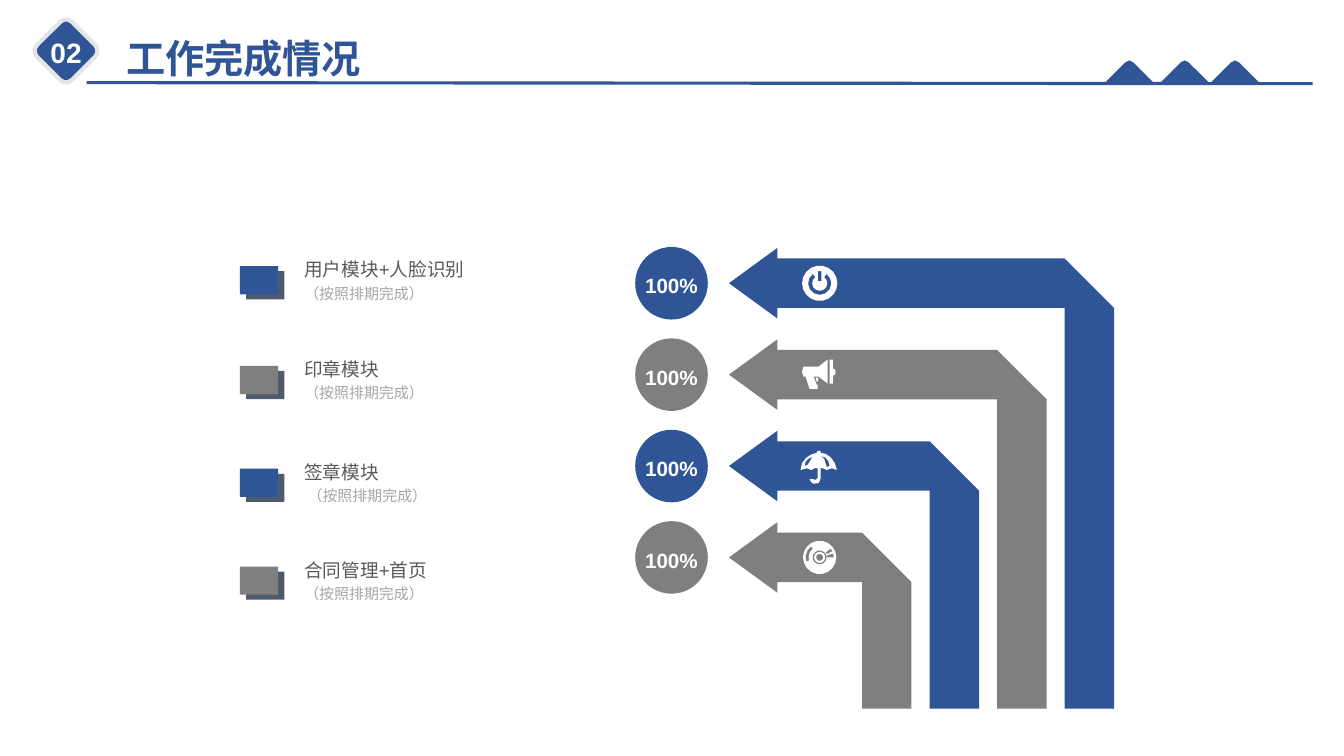
from math import ceil, cos, radians, sin

from lxml.etree import SubElement
from pptx import Presentation
from pptx.dml.color import RGBColor
from pptx.enum.shapes import MSO_CONNECTOR, MSO_SHAPE
from pptx.enum.text import MSO_ANCHOR, PP_ALIGN
from pptx.oxml.ns import qn
from pptx.util import Inches, Pt

COLORS = {"blue": "2F5597", "gray": "7F7F7F", "slate": "4E5B6F", "border": "E5E5E5",
          "white": "FFFFFF", "heading": "595959", "note": "A6A6A6"}
FONT = "Arial"


def arc(radius, start=0, end=340, step=20):
    """Points along an arc, clockwise in degrees from three o'clock."""
    count = ceil(abs(end - start) / step)
    angles = [radians(start + (end - start) * index / count) for index in range(count + 1)]
    return [(radius * cos(angle), radius * sin(angle)) for angle in angles]


def band(outer, inner, start, end):
    """Outline of a ring segment."""
    return arc(outer, start, end, 30) + arc(inner, end, start, 30)


# Content
TITLE = "工作完成情况"
NUMBER = "02"
# heading, note, percentage, colour, swatch top
MODULES = [
    ("用户模块+人脸识别", "（按照排期完成）", "100%", "blue", 2.64),
    ("印章模块", "（按照排期完成）", "100%", "gray", 3.63),
    ("签章模块", " （按照排期完成）", "100%", "blue", 4.65),
    ("合同管理+首页", "（按照排期完成）", "100%", "gray", 5.62),
]

# Icon contours, in hundredths of an inch from the icon centre
POWER = [
    arc(17.5),
    [(-1.7, -12), (1.7, -12), (1.7, -2), (-1.7, -2)],
    band(11.5, 7.5, -54, 234),
]
MEGAPHONE = [
    [(-16, -8), (-1, -8), (8, -15), (8, 9), (-1, 2), (-6, 2), (-3, 10),
     (-2, 10), (-2, 14), (-10, 14), (-14, 2), (-16, 2), (-17.5, -3)],
    [(13, -6), (15.5, -5), (15.5, 0), (13, 1), (13, 9), (10, 9), (10, -15), (13, -15)],
    [(-1, 3), (-4, 3), (-3, 7), (-2, 7)],
]
UMBRELLA = [
    [(-6, 13), (-5, 14), (-3, 13), (-2, 12), (-2, 2), (-5, 2.2), (-8, 4),
     (-13, 2.3), (-19, 4), (-17.5, -3), (-13, -8.5), (-8, -11.5), (-3, -13),
     (-2, -15), (1, -15), (1, -13), (6, -12), (11, -8.5), (15, -3), (17, 4),
     (12, 2.3), (7, 4), (4, 2.5), (1, 2), (1, 12), (0, 15), (-1, 17),
     (-6, 17.5), (-8.5, 16), (-10, 13)],
    [(7, 1), (10, 0), (8.5, -5), (5.5, -8.5), (1, -10), (4.5, -7)],
    [(-15, 0), (-12, -1), (-7, -9), (-11.5, -7), (-14, -4)],
]
DISC = [
    arc(16.5), arc(7, step=30), arc(5.5, step=30), arc(3.5, step=40),
    band(14, 11, 163, 232),
    band(14, 7.5, -39, -25),
    band(14, 7.5, -16, 0),
]
ICONS = [POWER, MEGAPHONE, UMBRELLA, DISC]

# Layout, in inches
FIRST_ROW, ROW_PITCH = 2.81, 2.72 / 3
ARROW_RIGHT, ARROW_STEP, ARROW_BOTTOM = 11.05, 0.67, 7.03
ARROW_TIP, HEAD_BASE, HEAD_HALF = 7.23, 7.71, 0.35
BAR = 0.49
ICON_X = 8.13
CIRCLE_LEFT, CIRCLE = 6.3, 0.72
SWATCH_LEFT, SWATCH_SIZE = 2.38, (0.38, 0.28)
BASELINE = 0.83
PEAK_CENTERS = [11.2, 11.75, 12.25]
PEAK = [(-0.25, 0), (-0.04, -0.21), (0, -0.23), (0.04, -0.21), (0.25, 0)]

presentation = Presentation()
presentation.slide_width, presentation.slide_height = Inches(13.33), Inches(7.5)
slide = presentation.slides.add_slide(presentation.slide_layouts[5])


def color(name):
    return RGBColor.from_string(COLORS[name])


def paint(shape, fill):
    shape.shadow.inherit = False
    shape.fill.solid()
    shape.fill.fore_color.rgb = color(fill)
    shape.line.fill.background()
    return shape


def add_preset(kind, left, top, width, height, fill):
    box = [Inches(value) for value in (left, top, width, height)]
    return paint(slide.shapes.add_shape(kind, *box), fill)


def add_outline(contours, fill):
    builder = None
    for contour in contours:
        points = [(Inches(x), Inches(y)) for x, y in contour]
        if builder is None:
            builder = slide.shapes.build_freeform(*points[0])
        else:
            builder.move_to(*points[0])
        builder.add_line_segments(points[1:], close=True)
    return paint(builder.convert_to_shape(), fill)


def add_text_box(left, top, width, height):
    return slide.shapes.add_textbox(Inches(left), Inches(top), Inches(width), Inches(height))


def write(paragraph, text, size, ink, bold=False, align=PP_ALIGN.LEFT, spacing=None):
    paragraph.alignment = align
    paragraph.line_spacing = spacing
    run = paragraph.add_run()
    run.text = text
    run.font.name, run.font.size, run.font.bold = FONT, Pt(size), bold
    run.font.color.rgb = color(ink)


# Title
title = slide.shapes.title
title.left, title.top, title.width, title.height = map(Inches, (1.15, 0.29, 2.8, 0.57))
title.text_frame.word_wrap = False
title.text_frame.vertical_anchor = MSO_ANCHOR.TOP
write(title.text_frame.paragraphs[0], TITLE, 28, "blue", bold=True)

# Numbered badge and rule
badge = add_preset(MSO_SHAPE.ROUNDED_RECTANGLE, 0.41, 0.26, 0.49, 0.49, "blue")
badge.rotation = 45
badge.line.color.rgb = color("border")
badge.line.width = Pt(3)
rule = slide.shapes.add_connector(MSO_CONNECTOR.STRAIGHT, Inches(0.86), Inches(0.82),
                                  Inches(13.02), Inches(BASELINE))
rule.line.color.rgb = color("blue")
rule.line.width = Pt(2.25)
SubElement(rule._element.spPr, qn("a:effectLst"))
number = add_text_box(0.4, 0.3, 0.51, 0.44).text_frame
number.word_wrap = False
write(number.paragraphs[0], NUMBER, 20, "white", bold=True, align=PP_ALIGN.CENTER)

# Peaks on the rule
for center in PEAK_CENTERS:
    add_outline([[(center + x, BASELINE + y) for x, y in PEAK]], "blue")

for row, (heading, note, percent, fill, swatch_top) in enumerate(MODULES):
    middle = FIRST_ROW + row * ROW_PITCH

    # Percentage circle
    circle = add_preset(MSO_SHAPE.OVAL, CIRCLE_LEFT, middle - CIRCLE / 2, CIRCLE, CIRCLE, fill)
    frame = circle.text_frame
    frame.word_wrap = False
    frame.vertical_anchor = MSO_ANCHOR.MIDDLE
    frame.margin_left = frame.margin_right = frame.margin_top = frame.margin_bottom = 0
    write(frame.paragraphs[0], percent, 14.7, "white", True, PP_ALIGN.CENTER, 1.2)

    # Bent arrow with its icon
    right = ARROW_RIGHT - row * ARROW_STEP
    inner, upper, lower = right - BAR, middle - BAR / 2, middle + BAR / 2
    add_outline([[(HEAD_BASE, middle - HEAD_HALF), (HEAD_BASE, upper), (inner, upper),
                  (right, lower), (right, ARROW_BOTTOM), (inner, ARROW_BOTTOM),
                  (inner, lower), (HEAD_BASE, lower), (HEAD_BASE, middle + HEAD_HALF),
                  (ARROW_TIP, middle)]], fill)
    add_outline([[(ICON_X + x / 100, middle + y / 100) for x, y in contour]
                 for contour in ICONS[row]], "white")

    # Legend swatch and text
    for offset_x, offset_y, swatch_fill in [(0.06, 0.05, "slate"), (0, 0, fill)]:
        add_preset(MSO_SHAPE.RECTANGLE, SWATCH_LEFT + offset_x, swatch_top + offset_y,
                   *SWATCH_SIZE, swatch_fill)
    legend = add_text_box(2.92, swatch_top - 0.17, 3.14, 0.56).text_frame
    legend.word_wrap = True
    write(legend.paragraphs[0], heading, 13.3, "heading", align=PP_ALIGN.JUSTIFY, spacing=1.2)
    write(legend.add_paragraph(), note, 10.7, "note", align=PP_ALIGN.JUSTIFY, spacing=1.2)

presentation.save("out.pptx")
